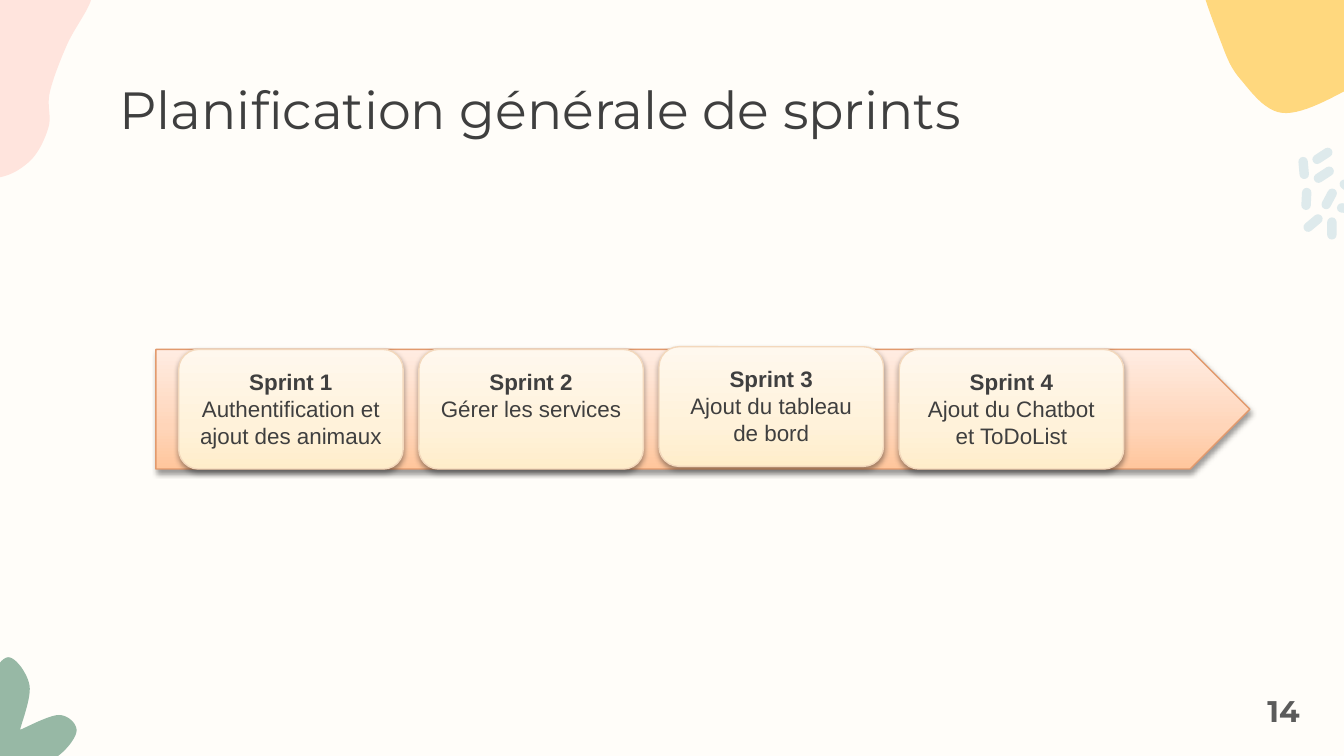
from dataclasses import dataclass

from pptx import Presentation
from pptx.dml.color import RGBColor
from pptx.enum.shapes import MSO_SHAPE
from pptx.enum.text import MSO_ANCHOR, PP_ALIGN
from pptx.oxml import parse_xml
from pptx.oxml.ns import nsdecls
from pptx.util import Inches, Pt


@dataclass(frozen=True)
class Theme:
    paper: str = "FFFDF9"
    ink: str = "3F3F3F"
    page_ink: str = "5B5B5B"
    yellow: str = "FFD87E"
    pink: str = "FFE4DD"
    green: str = "97B8A5"
    mist: str = "DEEAEC"
    arrow_line: str = "E29A6D"
    card_line: str = "F3D8BC"
    arrow_stops: tuple = ("FFC69C", "FFD5B9", "FFECE2")
    card_stops: tuple = ("FFEDCA", "FFF2DA", "FFF8EE")
    head_font: str = "Montserrat"
    body_font: str = "Arial"
    title_size: int = 28
    card_size: int = 12
    page_size: int = 16


def style_font(run, name, size, color, bold=False):
    run.font.name, run.font.size, run.font.bold = name, Pt(size), bold
    run.font.color.rgb = RGBColor.from_string(color)


def add_raised(shapes, kind, box, line, stops):
    """Add a shape with a bottom-to-top gradient, a thin outline and a soft shadow."""
    sp = shapes.add_shape(kind, *box)
    sp.line.color.rgb = RGBColor.from_string(line)
    sp.line.width = Pt(0.75)
    gs = "".join(f'<a:gs pos="{pos}"><a:srgbClr val="{color}"/></a:gs>'
                 for pos, color in zip((0, 35000, 100000), stops))
    ns = nsdecls("a")
    sp._element.spPr.insert(2, parse_xml(
        f'<a:gradFill {ns} rotWithShape="1"><a:gsLst>{gs}</a:gsLst>'
        '<a:lin ang="16200000" scaled="0"/></a:gradFill>'))
    sp._element.spPr.append(parse_xml(
        f'<a:effectLst {ns}><a:outerShdw blurRad="40000" dist="20000" dir="5400000" rotWithShape="0">'
        '<a:srgbClr val="000000"><a:alpha val="38000"/></a:srgbClr></a:outerShdw></a:effectLst>'))
    return sp


T = Theme()
prs = Presentation()
prs.slide_width, prs.slide_height = Inches(10), Inches(5.625)
U = prs.slide_width / 100  # grid: 100 columns across, square cells


def cells(*values):
    return [round(v * U) for v in values]


s = prs.slides.add_slide(prs.slide_layouts[6])
s.background.fill.solid()
s.background.fill.fore_color.rgb = RGBColor.from_string(T.paper)

# Corner blobs, made of lobes: each lobe starts at a corner and runs smoothly on
blobs = [
    (T.yellow, [[(91.3, -3), (89.3, -2), (90.8, 3), (92.3, 5.9), (95.4, 8.4),
                 (100.1, 6.75), (104.4, 3.6), (99.1, -1.3)]]),
    (T.green, [[(-1.3, 54.1), (-1.1, 51.2), (0.6, 48.9), (2.2, 51)],
               [(1.5, 54.3), (4.4, 53.2), (5.7, 54.4), (4.1, 56.4)],
               [(1, 57.3), (2.6, 59.5), (1.8, 60.7)],
               [(-1.3, 57.7), (-3.8, 60.1)],
               [(-3.4, 57.5), (-8.4, 54.3)],
               [(-4, 54.7), (-5.5, 51), (-4.3, 49.8)]]),
    (T.pink, [[(0.4, -2.9), (6.2, -1.8), (6.8, -0.1), (5, 3.3), (3.7, 6.9), (3.6, 9.5),
               (2.1, 12.1), (-0.9, 13.3), (-6.6, 12.5), (-9.3, 8.2), (-4.2, 1.7)]]),
]
STEPS = 12
for color, lobes in blobs:
    knots = [pt for lobe in lobes for pt in (lobe[0], *lobe)]
    n = len(knots)
    outline = []
    for i in range(n):
        before, a, b, after = (knots[(i + k) % n] for k in (-1, 0, 1, 2))
        if a == b:
            continue
        for t in (j / STEPS for j in range(STEPS)):
            # Catmull-Rom curve from a to b
            outline.append(cells(*(
                q + t / 2 * (r - o + t * (2 * o - 5 * q + 4 * r - e + t * (3 * (q - r) + e - o)))
                for o, q, r, e in zip(before, a, b, after))))
    fb = s.shapes.build_freeform(*outline[0])
    fb.add_line_segments(outline[1:], close=True)
    sp = fb.convert_to_shape()
    sp.shadow.inherit = False
    sp.fill.solid()
    sp.fill.fore_color.rgb = RGBColor.from_string(color)
    sp.line.fill.background()

# Confetti dashes: centre x, centre y, angle
DASH_W, DASH_H = 1.65, 0.7
for cx, cy, angle in [
        (100.4, 14, 38), (98.5, 13, -33), (97.2, 14.8, 93),
        (98.9, 14.8, -62), (100.3, 15.5, 3), (99.1, 17, 90),
        (97.7, 16.6, -40), (97, 12.5, 85), (98.4, 11.6, -33)]:
    sp = s.shapes.add_shape(MSO_SHAPE.ROUNDED_RECTANGLE,
                            *cells(cx - DASH_W / 2, cy - DASH_H / 2, DASH_W, DASH_H))
    sp.adjustments[0] = 0.5
    sp.rotation = angle
    sp.shadow.inherit = False
    sp.fill.solid()
    sp.fill.fore_color.rgb = RGBColor.from_string(T.mist)
    sp.line.fill.background()

# Title
tf = s.shapes.add_textbox(*cells(7.9, 4.9, 84.3, 6.3)).text_frame
tf.word_wrap = True
tf.vertical_anchor = MSO_ANCHOR.MIDDLE
tf.text = "Planification générale de sprints"
style_font(tf.paragraphs[0].runs[0], T.head_font, T.title_size, T.ink)

# Sprint timeline
ROW, CARD_W, CARD_H, PITCH = 26, 16.7, 8.9, 17.87
add_raised(s.shapes, MSO_SHAPE.PENTAGON, cells(11.6, ROW, 81.4, CARD_H),
           T.arrow_line, T.arrow_stops)
sprints = [
    ("Sprint 1", "Authentification et ajout des animaux", 0),
    ("Sprint 2", "Gérer les services", 0),
    ("Sprint 3", "Ajout du tableau de bord", -0.2),
    ("Sprint 4", "Ajout du Chatbot et ToDoList", 0),
]
for i, (name, goal, lift) in enumerate(sprints):
    sp = add_raised(s.shapes, MSO_SHAPE.ROUNDED_RECTANGLE,
                    cells(13.3 + i * PITCH, ROW + lift, CARD_W, CARD_H),
                    T.card_line, T.card_stops)
    tf = sp.text_frame
    tf.word_wrap = True
    tf.vertical_anchor = MSO_ANCHOR.TOP
    # The text area already starts inside the rounded corners
    tf.margin_top, tf.margin_bottom = cells(0.95, 0)
    tf.text = f"{name}\n{goal}"
    for p, bold in zip(tf.paragraphs, (True, False)):
        p.alignment = PP_ALIGN.CENTER
        style_font(p.runs[0], T.body_font, T.card_size, T.ink, bold)

# Page number
sp = s.shapes.add_shape(MSO_SHAPE.RECTANGLE, *cells(90.8, 49.4, 9.2, 6.9))
sp.shadow.inherit = False
sp.fill.solid()
sp.fill.fore_color.rgb = RGBColor.from_string(T.paper)
sp.line.color.rgb = RGBColor.from_string(T.paper)
sp.line.width = Pt(0.75)
tf = sp.text_frame
tf.vertical_anchor = MSO_ANCHOR.MIDDLE
tf.margin_left = cells(3.5)[0]
tf.text = "14"
tf.paragraphs[0].alignment = PP_ALIGN.LEFT
style_font(tf.paragraphs[0].runs[0], T.head_font, T.page_size, T.page_ink, True)

prs.save("out.pptx")
